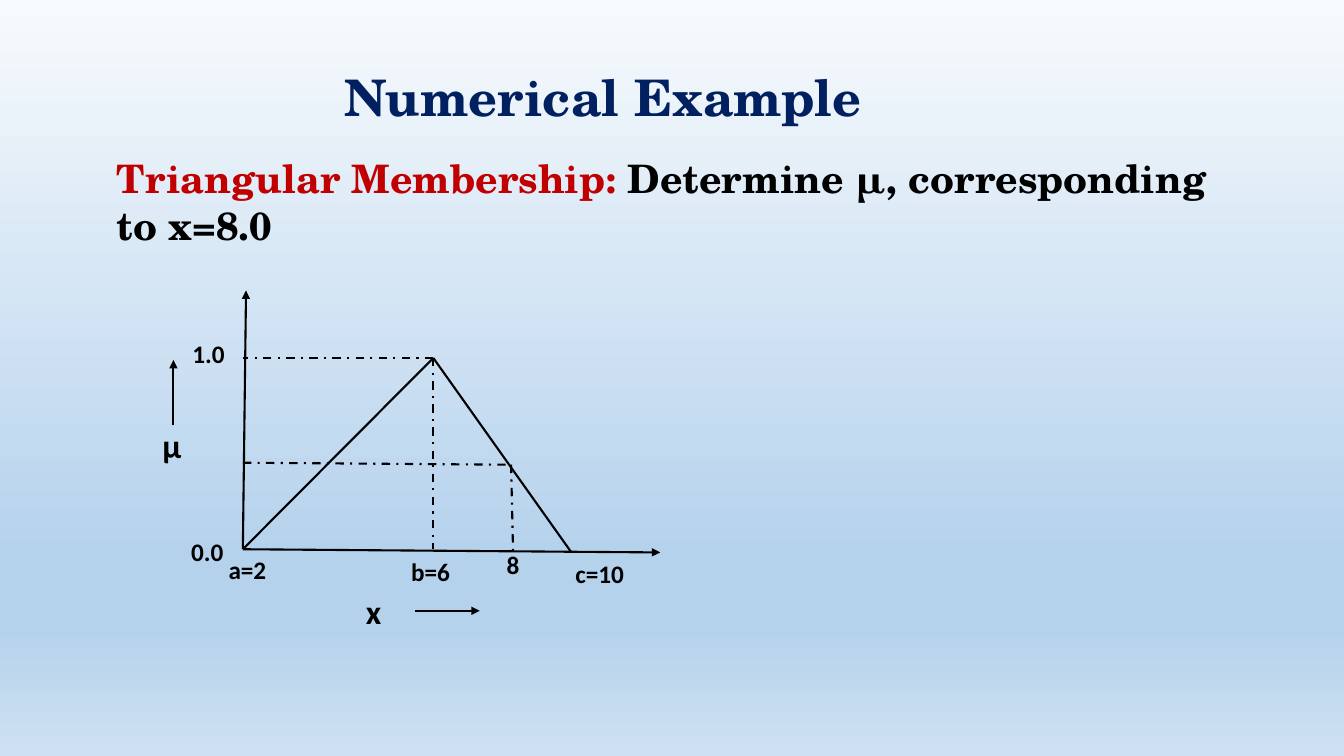
"""Builds a slide that reads a triangular membership value off a chart."""
import copy

import pptx
import pptx.dml.color
import pptx.enum.dml
import pptx.enum.shapes
import pptx.enum.text
import pptx.oxml.ns
import pptx.util
from lxml import etree

Cm = pptx.util.Cm
qn = pptx.oxml.ns.qn
SERIF = "TeX Gyre Schola"
COLORS = {"navy": "002060", "red": "C00000", "black": "000000",
          "sky_top": "F7FAFD", "sky_mid": "B5D2EC", "sky_low": "CEE1F2"}
RGB = {name: pptx.dml.color.RGBColor.from_string(c) for name, c in COLORS.items()}


def add_text(shapes, box, *parts, size=18, font="Calibri", align="LEFT"):
    sp = shapes.add_textbox(*[Cm(v) for v in box])
    tf = sp.text_frame
    tf.word_wrap = True
    tf.auto_size = pptx.enum.text.MSO_AUTO_SIZE.SHAPE_TO_FIT_TEXT
    p = tf.paragraphs[0]
    p.alignment = pptx.enum.text.PP_ALIGN[align]
    for text, color in parts:
        r = p.add_run()
        r.text = text
        r.font.name = font
        r.font.size = pptx.util.Pt(size)
        r.font.bold = True
        r.font.color.rgb = RGB[color]


prs = pptx.Presentation()
prs.slide_width, prs.slide_height = Cm(33.87), Cm(19.05)
s = prs.slides.add_slide(prs.slide_layouts[6])

fill = s.background.fill
fill.gradient()
fill.gradient_angle = 270
stops = s.element.find(".//" + qn("a:gsLst"))
for _ in range(2):
    stops.append(copy.deepcopy(stops[0]))
sky = [(0, "sky_top"), (0.74, "sky_mid"), (0.83, "sky_mid"), (1, "sky_low")]
for stop, (position, color) in zip(fill.gradient_stops, sky):
    stop.position = position
    stop.color.rgb = RGB[color]

add_text(s.shapes, (1.37, 1.55, 27.66, 1.8), ("Numerical Example", "navy"),
         size=36, font=SERIF, align="CENTER")
add_text(s.shapes, (2.69, 3.76, 28.45, 2.64), ("Triangular Membership: ", "red"),
         ("Determine μ, corresponding to x=8.0", "black"), size=28, font=SERIF)

graph = s.shapes.add_group_shape().shapes
origin, peak, on_slope = (6.12, 13.84), (10.92, 9.02), (12.88, 11.71)
lines = [
    (origin, (6.2, 7.32), "arrow"),
    (origin, (16.64, 13.92), "arrow"),
    (origin, peak, "solid"),
    (peak, (14.4, 13.92), "solid"),
    (peak, (origin[0], peak[1]), "dash"),
    (peak, (peak[0], origin[1]), "dash"),
    ((origin[0], 11.66), on_slope, "dash"),
    (on_slope, (12.93, 13.92), "dash"),
    ((4.37, 10.72), (4.37, 9.07), "arrow"),
    ((10.46, 15.39), (12.09, 15.39), "arrow"),
]
for start, end, kind in lines:
    line = graph.add_connector(pptx.enum.shapes.MSO_CONNECTOR.STRAIGHT,
                               *[Cm(v) for v in start + end])
    line.line.width = pptx.util.Pt(1.5)
    line.line.color.rgb = RGB["black"]
    spPr = line.element.spPr
    if kind == "dash":
        line.line.dash_style = pptx.enum.dml.MSO_LINE.DASH_DOT
    if kind == "arrow":
        etree.SubElement(spPr.find(qn("a:ln")), qn("a:tailEnd"), type="triangle")
    etree.SubElement(spPr, qn("a:effectLst"))

ticks = [("1.0", 4.6, 8.41, 1.63), ("0.0", 4.57, 13.39, 1.63),
         ("a=2", 5.51, 13.84, 1.63), ("b=6", 10.11, 13.89, 1.63),
         ("c=10", 14.25, 13.94, 1.83), ("8", 12.52, 13.72, 1.63)]
for text, x, y, width in ticks:
    add_text(graph, (x, y, width, 1.02), (text, "black"))
for text, x, y in [("μ", 3.84, 10.57), ("x", 8.97, 14.76)]:
    add_text(graph, (x, y, 1.5, 1.27), (text, "black"), size=24)

prs.save("out.pptx")
